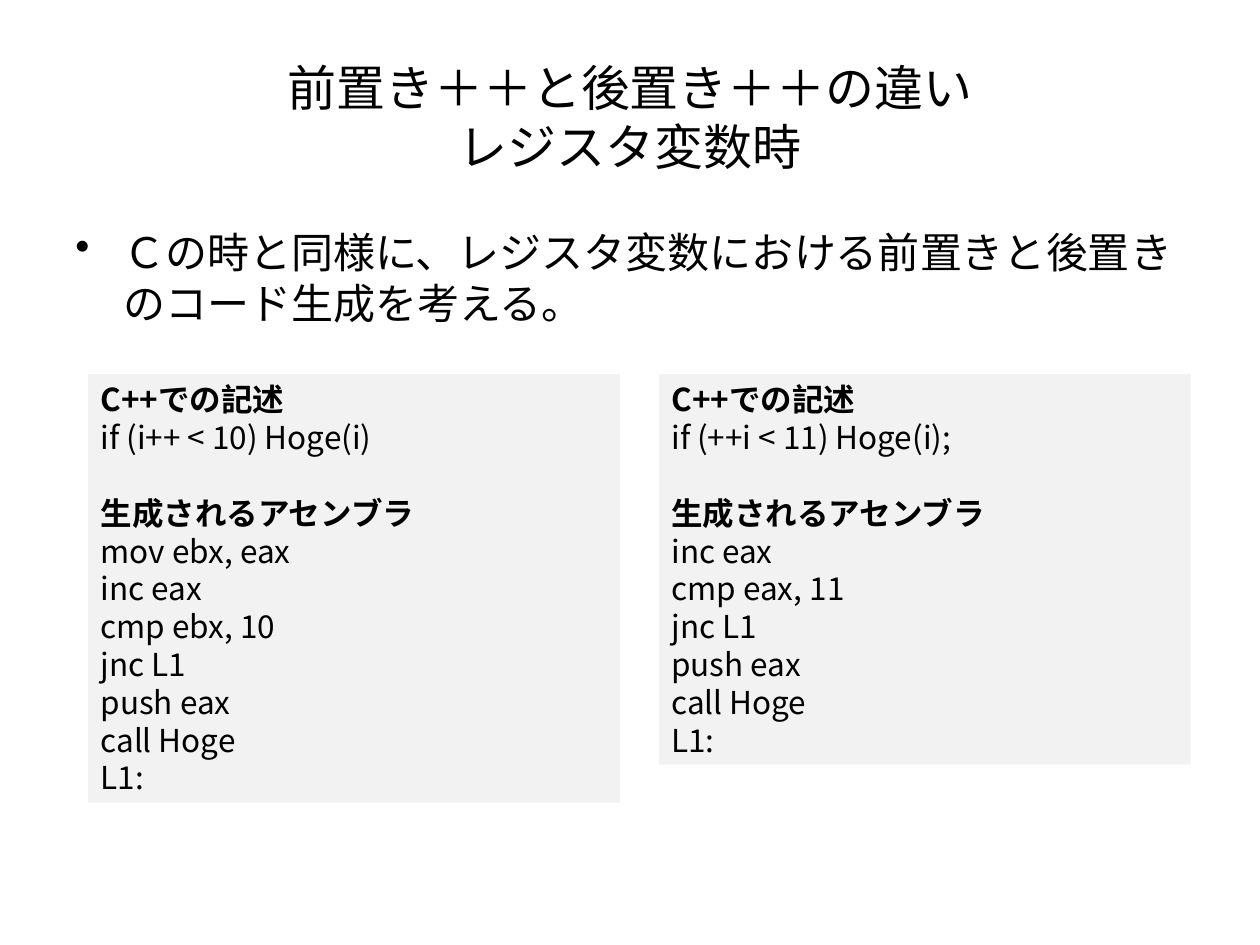
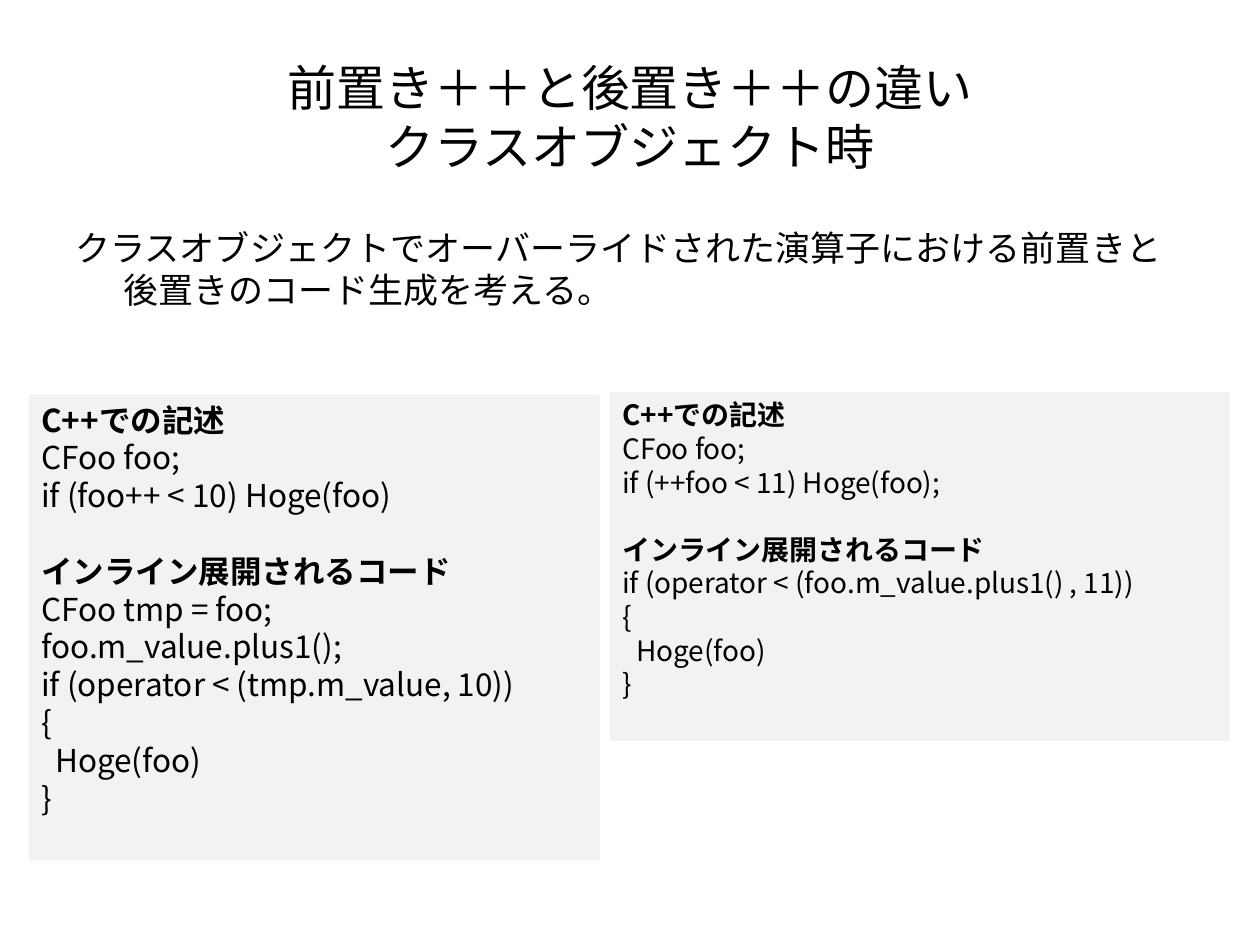
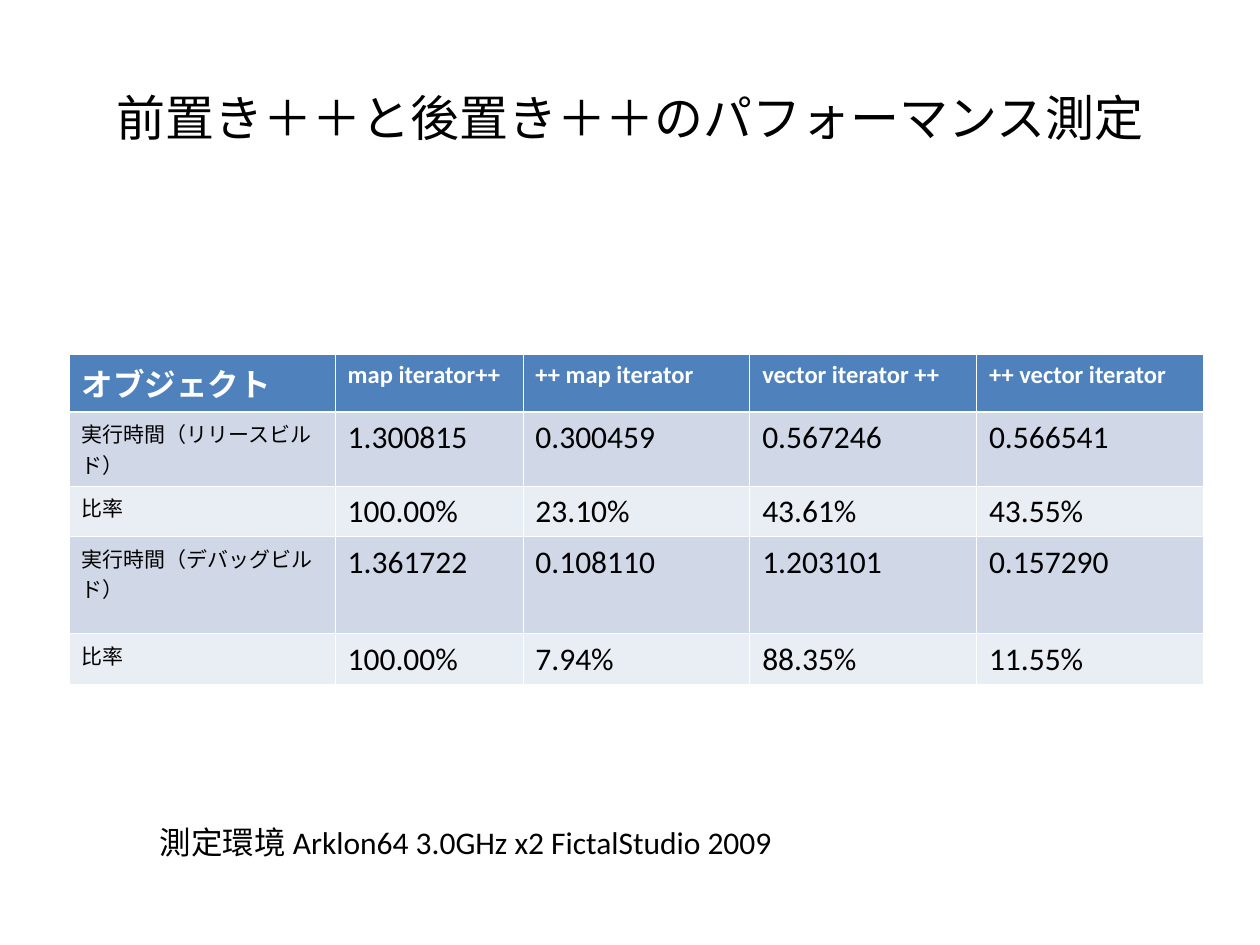
from lxml.etree import SubElement as Sub
from pptx import Presentation
from pptx.dml.color import RGBColor
from pptx.enum.shapes import MSO_SHAPE as Shape
from pptx.enum.text import MSO_ANCHOR as Anchor, MSO_AUTO_SIZE as Fit, PP_ALIGN as Align
from pptx.oxml.ns import qn
from pptx.util import Inches, Pt

BLACK = RGBColor(0x00, 0x00, 0x00)
WHITE = RGBColor(0xFF, 0xFF, 0xFF)
PANEL = RGBColor(0xF2, 0xF2, 0xF2)
HEAD = RGBColor(0x4F, 0x81, 0xBD)
BANDS = [RGBColor(0xD0, 0xD8, 0xE8), RGBColor(0xE9, 0xED, 0xF4)]
SANS = "Calibri"
CJK = "Noto Sans CJK JP"


class Deck:
    def __init__(self):
        self.prs = Presentation()
        self.prs.slide_width = Inches(10)
        self.prs.slide_height = Inches(7.5)

    def page(self, title):
        self.slide = self.prs.slides.add_slide(self.prs.slide_layouts[6])
        para = self.text(title, 0.5, 0.3, 9, 1.25, 28, anchor=Anchor.MIDDLE)
        para.alignment = Align.CENTER

    def style(self, para, size, color=BLACK, bold=False, latin=SANS, asian=SANS):
        font = para.font
        font.size = Pt(size)
        font.bold = bold
        font.color.rgb = color
        font.name = latin
        Sub(font._element, qn("a:ea"), typeface=asian)

    def text(self, words, x, y, w, h, size, anchor=Anchor.TOP, wrap=True):
        box = self.slide.shapes.add_textbox(Inches(x), Inches(y), Inches(w), Inches(h))
        frame = box.text_frame
        frame.word_wrap = wrap
        if not wrap:
            frame.auto_size = Fit.SHAPE_TO_FIT_TEXT
        frame.vertical_anchor = anchor
        para = frame.paragraphs[0]
        para.text = words
        self.style(para, size)
        return para

    def indent(self, para, left, first=0):
        props = para._p.get_or_add_pPr()
        props.set("marL", str(Inches(left)))
        props.set("indent", str(Inches(first)))
        return props

    def body(self, words, size, before, bullet=False):
        para = self.text(words, 0.5, 1.75, 9, 1.06, size)
        para.space_before = Pt(before)
        props = self.indent(para, 0.38, -0.38)
        if bullet:
            mark = props.makeelement(qn("a:buChar"), {"char": "•"})
            props.find(qn("a:defRPr")).addprevious(mark)

    def code(self, x, y, w, h, size, parts):
        box = self.slide.shapes.add_shape(
            Shape.RECTANGLE, Inches(x), Inches(y), Inches(w), Inches(h))
        box.shadow.inherit = False
        box.fill.solid()
        box.fill.fore_color.rgb = PANEL
        box.line.fill.background()
        frame = box.text_frame
        frame.word_wrap = True
        frame.vertical_anchor = Anchor.TOP
        pitch = Pt(size * 1.2)
        for part, (head, lines) in enumerate(parts):
            for row, line in enumerate([head] + lines.split("\n")):
                first = part == row == 0
                para = frame.paragraphs[0] if first else frame.add_paragraph()
                para.text = line.strip()
                para.alignment = Align.LEFT
                para.line_spacing = pitch
                if part and row == 0:
                    para.space_before = pitch
                if line.startswith(" "):
                    self.indent(para, 0.11)
                self.style(para, size, bold=row == 0, latin=CJK, asian=CJK)

    def edges(self, cell, top, bottom):
        props = cell._tc.get_or_add_tcPr()
        widths = {"lnL": 0.45, "lnR": 0.45, "lnT": top, "lnB": bottom}
        for tag, width in widths.items():
            line = Sub(props, qn("a:" + tag), w=str(Pt(width)))
            Sub(Sub(line, qn("a:solidFill")), qn("a:srgbClr"), val=str(WHITE))

    def table(self, x, y, cols, rows, data):
        grid = self.slide.shapes.add_table(
            len(rows), len(cols), Inches(x), Inches(y),
            Inches(sum(cols)), Inches(sum(rows))).table
        for col, width in zip(grid.columns, cols):
            col.width = Inches(width)
        for row, height in zip(grid.rows, rows):
            row.height = Inches(height)
        for r, items in enumerate(data):
            for c, item in enumerate(items):
                cell = grid.cell(r, c)
                self.edges(cell, 1.47 if r == 1 else 0.45, 1.47 if r == 0 else 0.45)
                cell.fill.solid()
                cell.fill.fore_color.rgb = BANDS[(r - 1) % 2] if r else HEAD
                para = cell.text_frame.paragraphs[0]
                para.text = item
                if r == 0:
                    self.style(para, 14 if c else 18, WHITE, True, asian=CJK)
                else:
                    self.style(para, 18 if c else 12, asian=CJK)


SOURCE = "C++での記述"
ASM = "生成されるアセンブラ"
INLINE = "インライン展開されるコード"
PLUS = "\uff0b" * 2
TOPIC = f"前置き{PLUS}と後置き{PLUS}の"
TIME = "実行時間\uff08{}ビルド\uff09"

deck = Deck()

deck.page(TOPIC + "違い\vレジスタ変数時")
deck.body("\uff23の時と同様に、レジスタ変数における前置きと後置きのコード生成を考える。", 24, 6, True)
TAIL = "jnc L1\npush eax\ncall Hoge\nL1:"
deck.code(0.7, 2.97, 4.22, 3.4, 18, [
    (SOURCE, "if (i++ < 10) Hoge(i)"),
    (ASM, "mov ebx, eax\ninc eax\ncmp ebx, 10\n" + TAIL)])
deck.code(5.23, 2.97, 4.22, 3.1, 18, [
    (SOURCE, "if (++i < 11) Hoge(i);"),
    (ASM, "inc eax\ncmp eax, 11\n" + TAIL)])

deck.page(TOPIC + "違い\vクラスオブジェクト時")
deck.body("クラスオブジェクトでオーバーライドされた演算子における前置きと後置きのコード生成を考える。", 20, 5)
BLOCK = "\n{\n  Hoge(foo)\n}"
deck.code(0.23, 3.13, 4.53, 3.7, 18, [
    (SOURCE, "CFoo foo;\nif (foo++ < 10) Hoge(foo)"),
    (INLINE, "CFoo tmp = foo;\nfoo.m_value.plus1();\n"
             "if (operator < (tmp.m_value, 10))" + BLOCK)])
deck.code(4.84, 3.11, 4.92, 2.77, 16, [
    (SOURCE, "CFoo foo;\nif (++foo < 11) Hoge(foo);"),
    (INLINE, "if (operator < (foo.m_value.plus1() , 11))" + BLOCK)])

deck.page(TOPIC + "パフォーマンス測定")
deck.table(0.55, 2.81, [2.11, 1.49, 1.8, 1.8, 1.8], [0.46, 0.59, 0.4, 0.77, 0.4], [
    ["オブジェクト", "map iterator++", "++ map iterator", "vector iterator ++", "++ vector iterator"],
    [TIME.format("リリース"), "1.300815", "0.300459", "0.567246", "0.566541"],
    ["比率", "100.00%", "23.10%", "43.61%", "43.55%"],
    [TIME.format("デバッグ"), "1.361722", "0.108110", "1.203101", "0.157290"],
    ["比率", "100.00%", "7.94%", "88.35%", "11.55%"]])
deck.text("測定環境 Arklon64 3.0GHz x2 FictalStudio 2009", 1.17, 6.48, 5.26, 0.4, 18, wrap=False)

deck.prs.save("out.pptx")
